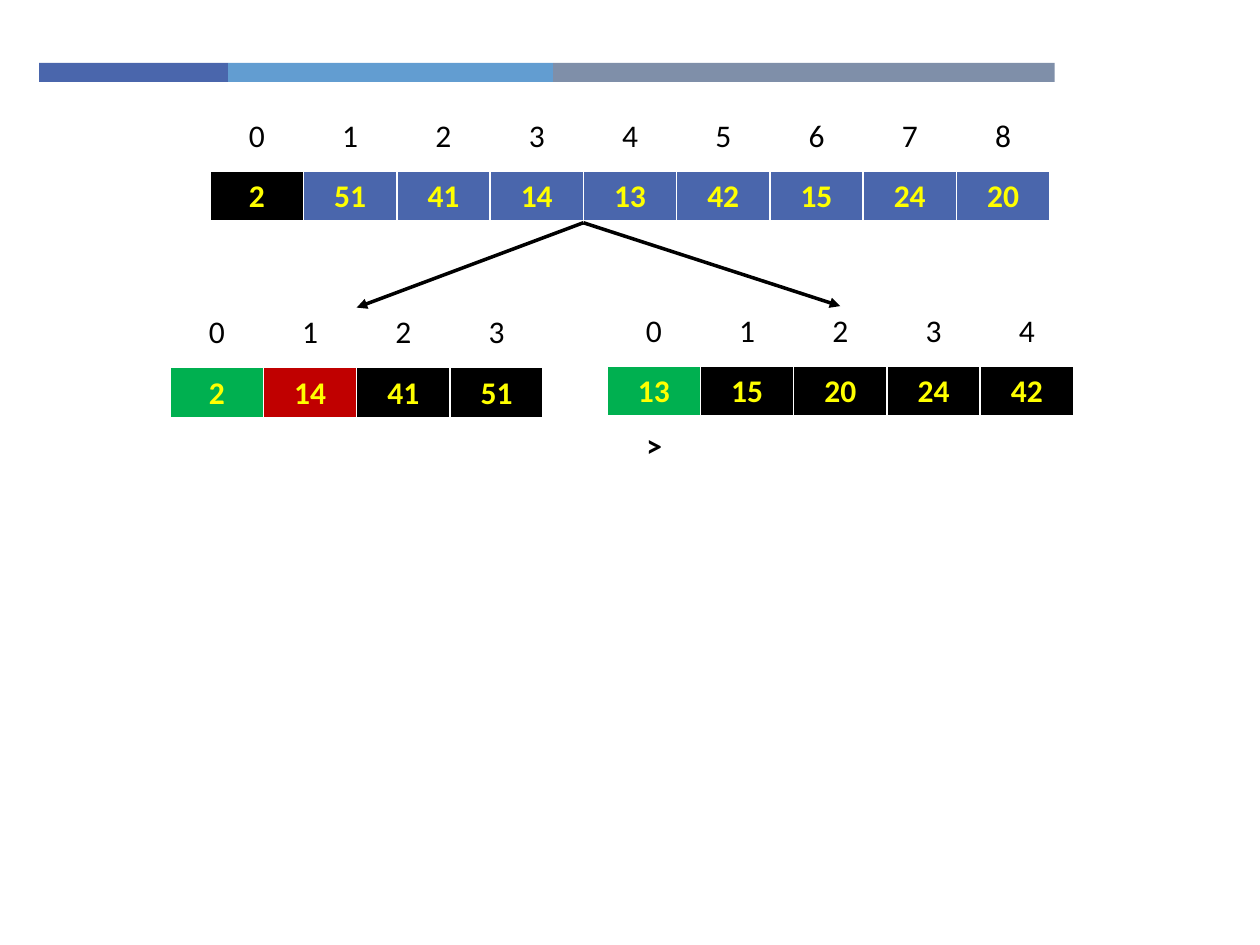
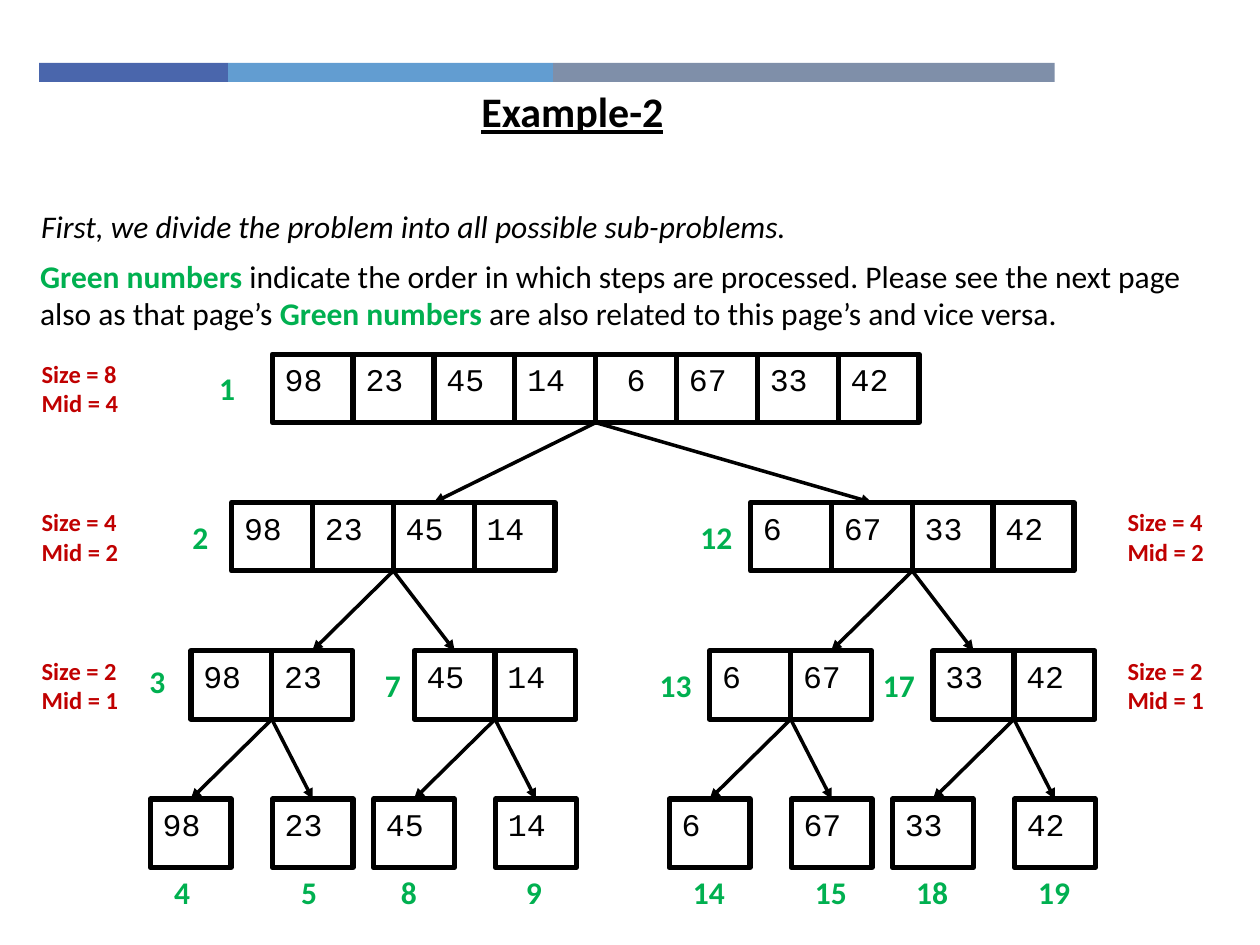
from lxml import etree
from pptx import Presentation
from pptx.dml.color import RGBColor
from pptx.enum import shapes, text
from pptx.oxml import ns
from pptx.util import Cm, Pt

COLORS = {
    "blue": "4A66AC",
    "sky": "629DD1",
    "slate": "7F8FA9",
    "black": "000000",
    "white": "FFFFFF",
    "yellow": "FFFF00",
    "green": "00B050",
    "red": "C00000",
}
BAND = [("blue", 3.81), ("sky", 6.55), ("slate", 10.11)]
TITLE_ONLY, BLANK = 5, 6

COLUMN = 1.88
INDEX_HEIGHT, VALUE_HEIGHT, VALUE_OFFSET = 1.02, 1.04, 1.21

CELL_WIDTH, CELL_HEIGHT = 1.63, 1.38
TREE_LEFT, TREE_TOP, LEVEL_STEP = 5.49, 7.14, 2.99
CHILD_SHIFT = 0.82
SIBLING_GAP = {4: 10.46, 2: 4.5, 1: 2.46}
ORDER_OFFSETS = {
    1: (-1.32, 0.18), 2: (-1.04, 0.18), 3: (-1.09, 0.1), 7: (-0.84, 0.18),
    5: (0.33, 1.37), 8: (0.3, 1.37), 9: (0.36, 1.37),
}


def rgb(name):
    return RGBColor.from_string(COLORS[name])


def add_run(paragraph, words, size=18, font="Calibri", color="black",
            bold=False, italic=False, underline=False):
    run = paragraph.add_run()
    run.text = words
    run.font.size = Pt(size)
    run.font.name = font
    run.font.color.rgb = rgb(color)
    run.font.bold = bold
    run.font.italic = italic
    run.font.underline = underline


def write(frame, words, align=text.PP_ALIGN.LEFT, **style):
    for number, line in enumerate(words.split("\n")):
        paragraph = frame.add_paragraph() if number else frame.paragraphs[0]
        paragraph.alignment = align
        add_run(paragraph, line, **style)


def add_text(slide, words, left, top, width, height=1.02, **style):
    frame = slide.shapes.add_textbox(Cm(left), Cm(top), Cm(width), Cm(height)).text_frame
    frame.word_wrap = True
    if words:
        write(frame, words, **style)
    return frame


def add_arrow(slide, start, end, target=None):
    points = [Cm(value) for value in (*start, *end)]
    arrow = slide.shapes.add_connector(shapes.MSO_CONNECTOR.STRAIGHT, *points)
    if target is not None:
        arrow.end_connect(target, 0)
    arrow.line.color.rgb = rgb("black")
    arrow.line.width = Pt(2)
    line = arrow.line._get_or_add_ln()
    etree.SubElement(line, ns.qn("a:tailEnd"), type="triangle")
    etree.SubElement(arrow.element.spPr, ns.qn("a:effectLst"))


def add_master_band(presentation, slide, left, top, height):
    group = slide.shapes.add_group_shape()
    for color, width in BAND:
        stripe = group.shapes.add_shape(
            shapes.MSO_SHAPE.RECTANGLE, Cm(left), Cm(top), Cm(width), Cm(height))
        stripe.shadow.inherit = False
        stripe.fill.solid()
        stripe.fill.fore_color.rgb = rgb(color)
        stripe.line.fill.background()
        left += width
    for number, properties in enumerate(group.element.iter(ns.qn("p:cNvPr")), 100):
        properties.set("id", str(number))
    presentation.slide_master.shapes.element.append(group.element)


def set_borders(cell):
    properties = cell._tc.get_or_add_tcPr()
    for side, points in (("L", 1), ("R", 1), ("T", 1), ("B", 3)):
        line = etree.SubElement(properties, ns.qn(f"a:ln{side}"), w=str(Pt(points)))
        fill = etree.SubElement(line, ns.qn("a:solidFill"))
        etree.SubElement(fill, ns.qn("a:srgbClr"), val=COLORS["white"])


def add_row_table(slide, values, left, top, height, fills=None, **style):
    count = len(values)
    table = slide.shapes.add_table(
        1, count, Cm(left), Cm(top), Cm(count * COLUMN), Cm(height)).table
    table.first_row = table.horz_banding = False
    for column, value in enumerate(values):
        table.columns[column].width = Cm(COLUMN)
        cell = table.cell(0, column)
        cell.vertical_anchor = text.MSO_ANCHOR.MIDDLE
        if fills:
            set_borders(cell)
            cell.fill.solid()
            cell.fill.fore_color.rgb = rgb(fills[column])
        else:
            cell.fill.background()
        write(cell.text_frame, str(value), align=text.PP_ALIGN.CENTER, **style)


def add_indexed_array(slide, values, fills, left, top):
    add_row_table(slide, values, left, top + VALUE_OFFSET, VALUE_HEIGHT, fills,
                  color="yellow", bold=True)
    add_row_table(slide, range(len(values)), left, top, INDEX_HEIGHT)
    return left + len(values) * COLUMN / 2, top


def build_merge_slide(slide):
    left, top = 4.24, 2.24
    add_indexed_array(slide, [2, 51, 41, 14, 13, 42, 15, 24, 20],
                      ["black"] + ["blue"] * 8, left, top)
    split = left + 4 * COLUMN, top + VALUE_OFFSET + VALUE_HEIGHT
    halves = [
        ([2, 14, 41, 51], ["green", "red"] + ["black"] * 2, 3.43, 6.2),
        ([13, 15, 20, 24, 42], ["green"] + ["black"] * 4, 12.24, 6.17),
    ]
    for half in halves:
        add_arrow(slide, split, add_indexed_array(slide, *half))
    add_text(slide, ">", 12.78, 8.46, 0.74, bold=True)


def add_number_cell(slide, value, left, top, align):
    cell = slide.shapes.add_shape(
        shapes.MSO_SHAPE.RECTANGLE, Cm(left), Cm(top), Cm(CELL_WIDTH), Cm(CELL_HEIGHT))
    cell.shadow.inherit = False
    cell.fill.background()
    cell.line.color.rgb = rgb("black")
    cell.line.width = Pt(3)
    cell.text_frame.word_wrap = False
    cell.text_frame.vertical_anchor = text.MSO_ANCHOR.TOP
    write(cell.text_frame, str(value), align=align, font="Courier New")
    return cell


def add_order_number(slide, order, is_leaf, left, top):
    default = (0.23, 1.37) if is_leaf else (-1.26, 0.18)
    shift_x, shift_y = ORDER_OFFSETS.get(order, default)
    width = 1.22 if order > 9 else 0.97 if order < 7 else 0.79
    add_text(slide, str(order), left + shift_x, top + shift_y, width,
             color="green", bold=True)


def add_split_tree(slide, values, left, top, order=1):
    size = len(values)
    half = size // 2
    cells = []
    for position, value in enumerate(values):
        centered = size == 8 and value == 6
        align = text.PP_ALIGN.CENTER if centered else text.PP_ALIGN.LEFT
        cells.append(add_number_cell(slide, value, left + position * CELL_WIDTH, top, align))
    add_order_number(slide, order, size == 1, left, top)
    if size == 1:
        return cells

    child_left, child_top = left - CHILD_SHIFT, top + LEVEL_STEP
    first = add_split_tree(slide, values[:half], child_left, child_top, order + 1)
    second = add_split_tree(slide, values[half:], child_left + SIBLING_GAP[half],
                            child_top, order + 3 * half - 1)
    split = left + half * CELL_WIDTH, top + CELL_HEIGHT
    for target in (first[half // 2], second[(half - 1) // 2]):
        add_arrow(slide, split, split, target)
    return cells


def add_size_labels(slide, left, levels):
    for level in levels:
        size = 8 // 2 ** level
        add_text(slide, f"Size = {size}\nMid = {size // 2}", left,
                 TREE_TOP - 0.03 + level * LEVEL_STEP, 2.18, 1.45,
                 size=14, color="red", bold=True)


def set_title(slide, words, left, top, width, height):
    title = slide.shapes.title
    title.left, title.top, title.width, title.height = map(Cm, (left, top, width, height))
    frame = title.text_frame
    frame.word_wrap = False
    frame.auto_size = text.MSO_AUTO_SIZE.NONE
    frame.vertical_anchor = text.MSO_ANCHOR.TOP
    write(frame, words, size=24, bold=True, underline=True)


def add_introduction(slide, left, top):
    add_text(slide, "First, we divide the problem into all possible sub-problems.",
             left + 0.02, top, 16.54, italic=True)
    paragraph = add_text(slide, "", left, top + 1.01, 24.08, 1.8).paragraphs[0]
    green = {"color": "green", "bold": True}
    add_run(paragraph, "Green numbers ", **green)
    add_run(paragraph, "indicate the order in which steps are processed. "
                       "Please see the next page also as that page’s ")
    add_run(paragraph, "Green numbers", **green)
    add_run(paragraph, " are also related to this page’s and vice versa.")


def build_division_slide(slide):
    set_title(slide, "Example-2", 9.45, 1.6, 4.22, 1.27)
    add_introduction(slide, 0.56, 4.04)
    add_split_tree(slide, [98, 23, 45, 14, 6, 67, 33, 42], TREE_LEFT, TREE_TOP)
    add_size_labels(slide, 0.59, (0, 1, 2))
    add_size_labels(slide, 22.48, (1, 2))


def main():
    presentation = Presentation()
    presentation.slide_width, presentation.slide_height = Cm(25.4), Cm(19.05)
    layouts = presentation.slide_layouts
    merge_slide = presentation.slides.add_slide(layouts[BLANK])
    add_master_band(presentation, merge_slide, 0.79, 1.27, 0.38)
    build_merge_slide(merge_slide)
    build_division_slide(presentation.slides.add_slide(layouts[TITLE_ONLY]))
    presentation.save("out.pptx")


if __name__ == "__main__":
    main()
